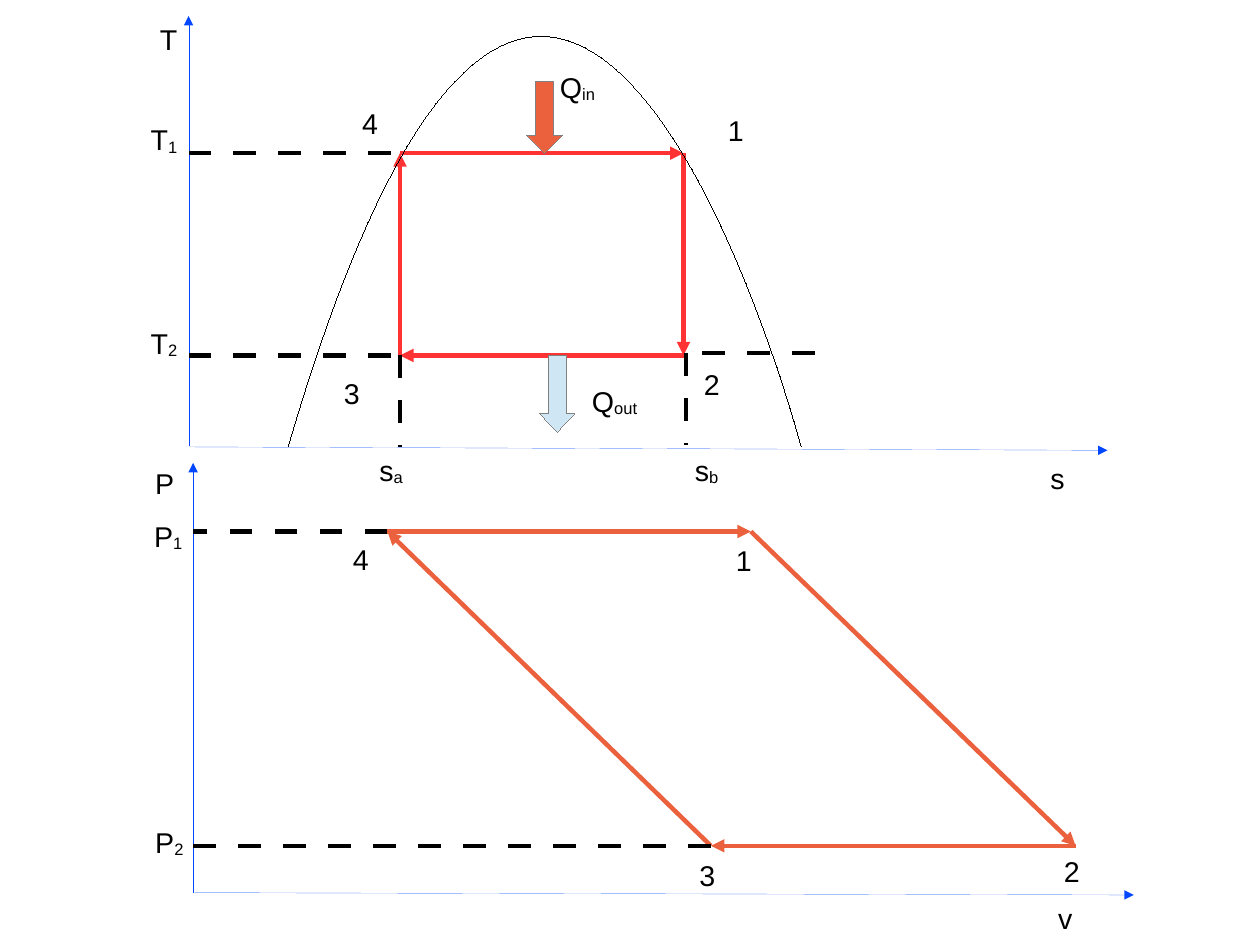
from dataclasses import dataclass
from itertools import pairwise

from lxml import etree
from pptx import Presentation
from pptx.dml.color import RGBColor
from pptx.enum.shapes import MSO_CONNECTOR, MSO_SHAPE
from pptx.enum.text import MSO_ANCHOR, MSO_AUTO_SIZE
from pptx.oxml.ns import qn
from pptx.util import Inches, Pt

STRAIGHT = MSO_CONNECTOR.STRAIGHT
DOWN_ARROW = MSO_SHAPE.DOWN_ARROW
TOP = MSO_ANCHOR.TOP
FIT_SHAPE = MSO_AUTO_SIZE.SHAPE_TO_FIT_TEXT
BLANK_LAYOUT = 6


@dataclass(frozen=True)
class Theme:
    font: str = "Arial"
    size: float = 18
    subscript: int = -8000
    hairline: float = 0
    thick: float = 2.83
    ink: str = "000000"
    axis: str = "0047FF"
    ts_cycle: str = "FF3333"
    pv_cycle: str = "EB613D"
    heat_in: str = "EB613D"
    heat_out: str = "CFE7F5"
    outline: str = "808080"


THEME = Theme()

TS_CORNERS = [(3.5, 1.34), (5.98, 1.34), (5.98, 3.11), (3.5, 3.11)]
PV_CORNERS = [(3.39, 4.65), (6.57, 4.65), (9.41, 7.4), (6.22, 7.4)]

AXES = [
    ((1.65, 3.9), (1.65, 0.14)),
    ((1.65, 3.91), (9.69, 3.94)),
    ((1.69, 7.81), (1.69, 4.05)),
    ((1.69, 7.81), (9.92, 7.83)),
]

GUIDES = [
    ((3.42, 1.34), (1.65, 1.34)),
    ((3.42, 3.11), (1.65, 3.11)),
    ((3.5, 3.11), (3.5, 3.91)),
    ((6, 3.09), (6, 3.89)),
    ((7.13, 3.09), (5.96, 3.09)),
    ((3.39, 4.65), (1.69, 4.65)),
    ((6.22, 7.4), (1.69, 7.4)),
]

LABELS = [
    ("T", "", 1.3, 0.14, 0.35),
    ("T", "1", 1.22, 1.02, 0.43),
    ("T", "2", 1.22, 2.8, 0.43),
    ("s", "", 9.09, 3.98, 0.32),
    ("s", "a", 3.22, 3.91, 0.42),
    ("s", "b", 5.98, 3.91, 0.42),
    ("1", "", 6.27, 0.94, 0.34),
    ("2", "", 6.06, 3.16, 0.34),
    ("3", "", 2.91, 3.24, 0.34),
    ("4", "", 3.07, 0.88, 0.34),
    ("Q", "in", 4.8, 0.56, 0.52),
    ("Q", "out", 5.08, 3.31, 0.62),
    ("P", "", 1.26, 4.03, 0.36),
    ("P", "1", 1.25, 4.49, 0.45),
    ("P", "2", 1.26, 7.17, 0.45),
    ("v", "", 9.16, 7.83, 0.32),
    ("1", "", 6.34, 4.7, 0.34),
    ("2", "", 9.21, 7.42, 0.34),
    ("3", "", 6.02, 7.46, 0.34),
    ("4", "", 2.99, 4.69, 0.34),
]


def rgb(color):
    return RGBColor.from_string(color)


def set_line(line, color, width):
    line.fill.solid()
    line.fill.fore_color.rgb = rgb(color)
    ln = line._get_or_add_ln()
    ln.set("w", str(Pt(width)))
    return ln


def add_line(slide, start, end, color, width, dashed=False, arrow=False):
    ends = [Inches(v) for v in (*start, *end)]
    cn = slide.shapes.add_connector(STRAIGHT, *ends)
    ln = set_line(cn.line, color, width)
    if dashed:
        dash = etree.SubElement(ln, qn("a:custDash"))
        etree.SubElement(dash, qn("a:ds"), d="500000", sp="500000")
    if arrow:
        etree.SubElement(ln, qn("a:tailEnd"), type="triangle")
    etree.SubElement(cn._element.spPr, qn("a:effectLst"))


def add_cycle(slide, corners, color):
    for start, end in pairwise(corners + corners[:1]):
        add_line(slide, start, end, color, THEME.thick, arrow=True)


def add_label(slide, symbol, subscript, left, top, width):
    height = 0.46 if subscript else 0.38
    box = [Inches(v) for v in (left, top, width, height)]
    tf = slide.shapes.add_textbox(*box).text_frame
    frame = {"word_wrap": False, "auto_size": FIT_SHAPE, "vertical_anchor": TOP}
    for name, value in frame.items():
        setattr(tf, name, value)
    p = tf.paragraphs[0]
    for text in filter(None, (symbol, subscript)):
        r = p.add_run()
        r.text = text
        for name, value in {"name": THEME.font, "size": Pt(THEME.size)}.items():
            setattr(r.font, name, value)
        r.font.color.rgb = rgb(THEME.ink)
        if text == subscript:
            r._r.get_or_add_rPr().set("baseline", str(THEME.subscript))


def add_heat_arrow(slide, left, top, height, head, color):
    box = [Inches(v) for v in (left, top, 0.31, height)]
    sp = slide.shapes.add_shape(DOWN_ARROW, *box)
    sp.shadow.inherit = False
    sp.adjustments[0] = 0.5
    sp.adjustments[1] = head
    sp.fill.solid()
    sp.fill.fore_color.rgb = rgb(color)
    set_line(sp.line, THEME.outline, THEME.hairline)


def bezier(controls, t):
    weights = ((1 - t) ** 3, 3 * t * (1 - t) ** 2, 3 * t**2 * (1 - t), t**3)
    return [Inches(sum(w * c for w, c in zip(weights, axis))) for axis in zip(*controls)]


def add_dome(slide, steps=80):
    controls = [(2.52, 3.91), (4.88, -4.17), (7.01, 3.91), (7.01, 3.91)]
    points = [bezier(controls, i / steps) for i in range(steps + 1)]
    builder = slide.shapes.build_freeform(*points[0])
    builder.add_line_segments(points[1:], close=False)
    sp = builder.convert_to_shape()
    sp.shadow.inherit = False
    sp.fill.background()
    set_line(sp.line, THEME.ink, THEME.hairline)


def main():
    prs = Presentation()
    prs.slide_width = Inches(28 / 2.54)
    prs.slide_height = Inches(21 / 2.54)
    s = prs.slides.add_slide(prs.slide_layouts[BLANK_LAYOUT])
    for start, end in AXES:
        add_line(s, start, end, THEME.axis, THEME.hairline, arrow=True)
    add_cycle(s, TS_CORNERS, THEME.ts_cycle)
    add_cycle(s, PV_CORNERS, THEME.pv_cycle)
    for start, end in GUIDES:
        add_line(s, start, end, THEME.ink, THEME.thick, dashed=True)
    for label in LABELS:
        add_label(s, *label)
    add_heat_arrow(s, 4.61, 0.71, 0.63, 0.5, THEME.heat_in)
    add_heat_arrow(s, 4.72, 3.11, 0.67, 0.53, THEME.heat_out)
    add_dome(s)
    prs.save("out.pptx")


if __name__ == "__main__":
    main()
